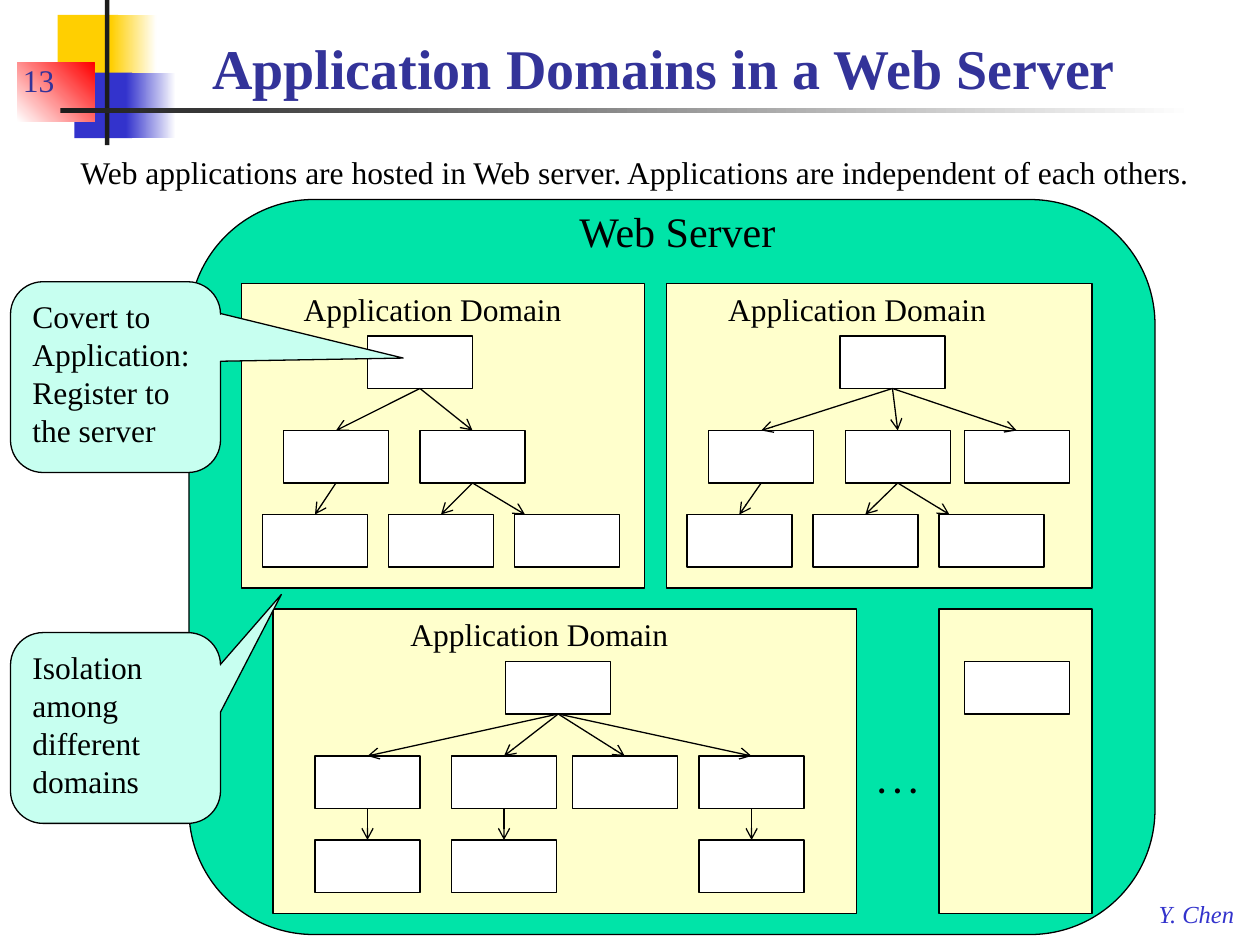
from lxml import etree
from pptx import Presentation
from pptx.dml.color import RGBColor
from pptx.enum.shapes import MSO_CONNECTOR, MSO_SHAPE
from pptx.enum.text import MSO_ANCHOR, MSO_AUTO_SIZE, PP_ALIGN
from pptx.oxml.ns import qn
from pptx.util import Pt

RECT, ROUNDED = MSO_SHAPE.RECTANGLE, MSO_SHAPE.ROUNDED_RECTANGLE
CALLOUT = MSO_SHAPE.ROUNDED_RECTANGULAR_CALLOUT
STRAIGHT = MSO_CONNECTOR.STRAIGHT
TOP, BOTTOM = MSO_ANCHOR.TOP, MSO_ANCHOR.BOTTOM
LEFT, NO_FIT = PP_ALIGN.LEFT, MSO_AUTO_SIZE.NONE

BLACK = RGBColor(0, 0, 0)
WHITE = RGBColor(255, 255, 255)
CHARCOAL = RGBColor(0x1C, 0x1C, 0x1C)
GOLD = RGBColor(0xFF, 0xCF, 0x01)
RED = RGBColor(0xFF, 0, 0)
BLUE = RGBColor(0x33, 0x33, 0xCC)
NAVY = RGBColor(0x33, 0x33, 0x99)
GREEN = RGBColor(0, 0xE4, 0xA8)
CREAM = RGBColor(0xFF, 0xFF, 0xCC)
MINT = RGBColor(0xC7, 0xFF, 0xF0)

FONT = "Times New Roman"
BODY = {"name": FONT, "size": Pt(18), "bold": False, "italic": False}

# Bounds, start colour, end colour (None for a plain fill), gradient angle
ORNAMENTS = [
    ((33, 8.5, 34.5, 37.5), GOLD, None, 0),
    ((63.5, 8.5, 26, 37.5), GOLD, WHITE, 0),
    ((42.5, 41.5, 33, 37.5), BLUE, None, 0),
    ((72, 41.5, 28.5, 37.5), BLUE, WHITE, 0),
    ((10, 36, 44, 33.5), WHITE, RED, 45),
    ((60, 0, 2.5, 83), CHARCOAL, None, 0),
    ((34.5, 62, 648, 2.5), CHARCOAL, WHITE, 0),
]

TITLE = ("Application Domains in a Web Server", (114, 12, 600, 49))
SERVER = (108, 114, 552, 420)

# Text, bounds, colour, format changes
LABELS = [
    ("Y. Chen", (655, 510, 59, 24), BLUE, {"size": Pt(14), "italic": True}),
    ("13", (6, 24, 54, 36), NAVY, {}),
    ("Web Server", (324, 114, 127.5, 36.5), BLACK, {"size": Pt(24)}),
    (". . .", (494.5, 432, 37.5, 29), BLACK, {"bold": True}),
    ("Web applications are hosted in Web server. "
     "Applications are independent of each others.",
     (39, 84, 650, 29), BLACK, {}),
]

# rows: left edges of the nodes on each tree level
# links: parent level, parent, child, arrow landing measured from child's left
NODE_W, NODE_H = 60, 30
MID = NODE_W / 2
LEVEL_OFFSETS = (30, 84, 132)
PANEL_H = 174
DOMAINS = [
    {"at": (138, 162), "width": 230.5, "label_left": 166.5,
     "rows": [[210], [162, 240], [150, 222, 294]],
     "links": [(0, 0, 0, MID), (0, 0, 1, MID),
               (1, 0, 0, MID), (1, 1, 1, MID), (1, 1, 2, 6)]},
    {"at": (381, 162), "width": 243, "label_left": 409,
     "rows": [[480], [405, 483, 551], [392.5, 464.5, 536.5]],
     "links": [(0, 0, 0, MID), (0, 0, 1, MID), (0, 0, 2, MID),
               (1, 0, 0, MID), (1, 1, 1, MID), (1, 1, 2, 6)]},
    {"at": (156, 348), "width": 333.5, "label_left": 227.5,
     "rows": [[289], [180, 258, 327, 399.5], [180, 258, 399.5]],
     "links": [(0, 0, 0, MID), (0, 0, 1, MID), (0, 0, 2, MID),
               (0, 0, 3, MID), (1, 0, 0, MID), (1, 1, 1, MID),
               (1, 3, 2, MID)]},
    {"at": (536.5, 348), "width": 87.5, "label_left": None,
     "rows": [[551]], "links": []},
]

CALLOUTS = [
    ("Covert to Application: Register to the server",
     (6, 161, 120, 109), (1.37, -0.1, 0.17)),
    ("Isolation among different domains",
     (6, 361.5, 120, 109), (0.79, -0.7, 0.17)),
]


def points(values):
    return [Pt(value) for value in values]


def write(shape, text, color, **changes):
    frame = shape.text_frame
    frame.text = text
    para = frame.paragraphs[0]
    para.alignment = LEFT
    for key, value in {**BODY, **changes}.items():
        setattr(para.font, key, value)
    para.font.color.rgb = color
    return frame


def add_label(page, text, bounds, color, changes):
    box = page.shapes.add_textbox(*points(bounds))
    return write(box, text, color, **changes)


def add_block(page, kind, bounds, color, outlined=True):
    block = page.shapes.add_shape(kind, *points(bounds))
    block.shadow.inherit = False
    block.fill.solid()
    block.fill.fore_color.rgb = color
    if outlined:
        block.line.color.rgb = BLACK
        block.line.width = Pt(0.75)
    else:
        block.line.fill.background()
    return block


def add_arrow(page, start, end):
    arrow = page.shapes.add_connector(STRAIGHT, *points(start + end))
    arrow.line.color.rgb = BLACK
    arrow.line.width = Pt(0.75)
    etree.SubElement(arrow.line._get_or_add_ln(), qn("a:tailEnd"), type="arrow")
    etree.SubElement(arrow._element.spPr, qn("a:effectLst"))


def add_ornament(page, bounds, start, end, angle):
    block = add_block(page, RECT, bounds, start, outlined=False)
    if end is not None:
        block.fill.gradient()
        block.fill.gradient_angle = angle
        for stop, color in zip(block.fill.gradient_stops, (start, end)):
            stop.color.rgb = color


def add_domain(page, domain):
    left, top = domain["at"]
    rows = domain["rows"]
    add_block(page, RECT, (left, top, domain["width"], PANEL_H), CREAM)
    levels = [top + offset for offset in LEVEL_OFFSETS]
    for row, y in zip(rows, levels):
        for x in row:
            add_block(page, RECT, (x, y, NODE_W, NODE_H), WHITE)
    for level, parent, child, landing in domain["links"]:
        start = (rows[level][parent] + MID, levels[level] + NODE_H)
        end = (rows[level + 1][child] + landing, levels[level + 1])
        add_arrow(page, start, end)
    if domain["label_left"] is not None:
        bounds = (domain["label_left"], top, 163.5, 29)
        add_label(page, "Application Domain", bounds, BLACK, {})


def main():
    deck = Presentation()
    deck.slide_width, deck.slide_height = Pt(720), Pt(540)
    page = deck.slides.add_slide(deck.slide_layouts[5])

    for ornament in ORNAMENTS:
        add_ornament(page, *ornament)

    text, bounds = TITLE
    title = page.shapes.title
    title.left, title.top, title.width, title.height = points(bounds)
    frame = write(title, text, NAVY, size=Pt(32), bold=True)
    frame.auto_size, frame.vertical_anchor = NO_FIT, BOTTOM

    server = add_block(page, ROUNDED, SERVER, GREEN)
    server.adjustments[0] = 0.17
    for domain in DOMAINS:
        add_domain(page, domain)
    for label in LABELS:
        frame = add_label(page, *label)
        if label[0] == "13":
            frame.vertical_anchor = BOTTOM

    for text, bounds, adjustments in CALLOUTS:
        callout = add_block(page, CALLOUT, bounds, MINT)
        for index, value in enumerate(adjustments):
            callout.adjustments[index] = value
        frame = write(callout, text, BLACK)
        frame.word_wrap, frame.vertical_anchor = True, TOP

    deck.save("out.pptx")


if __name__ == "__main__":
    main()
